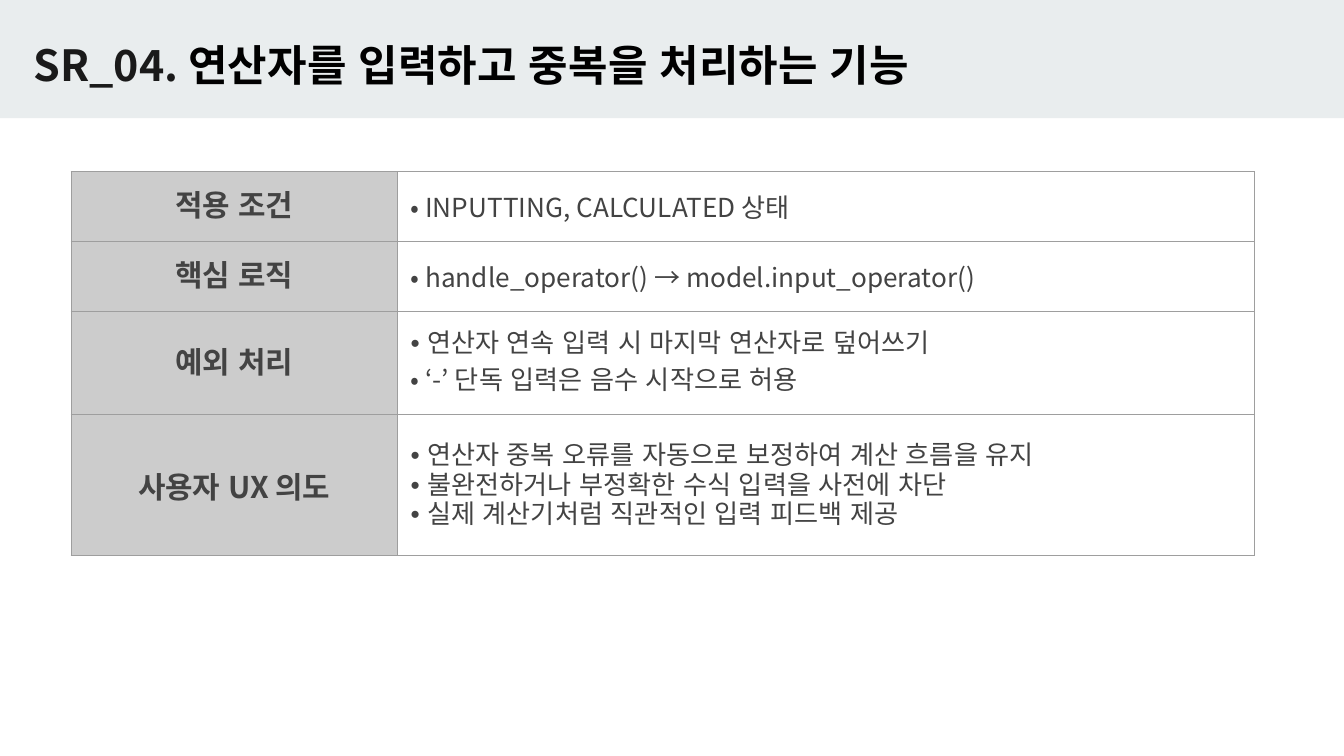
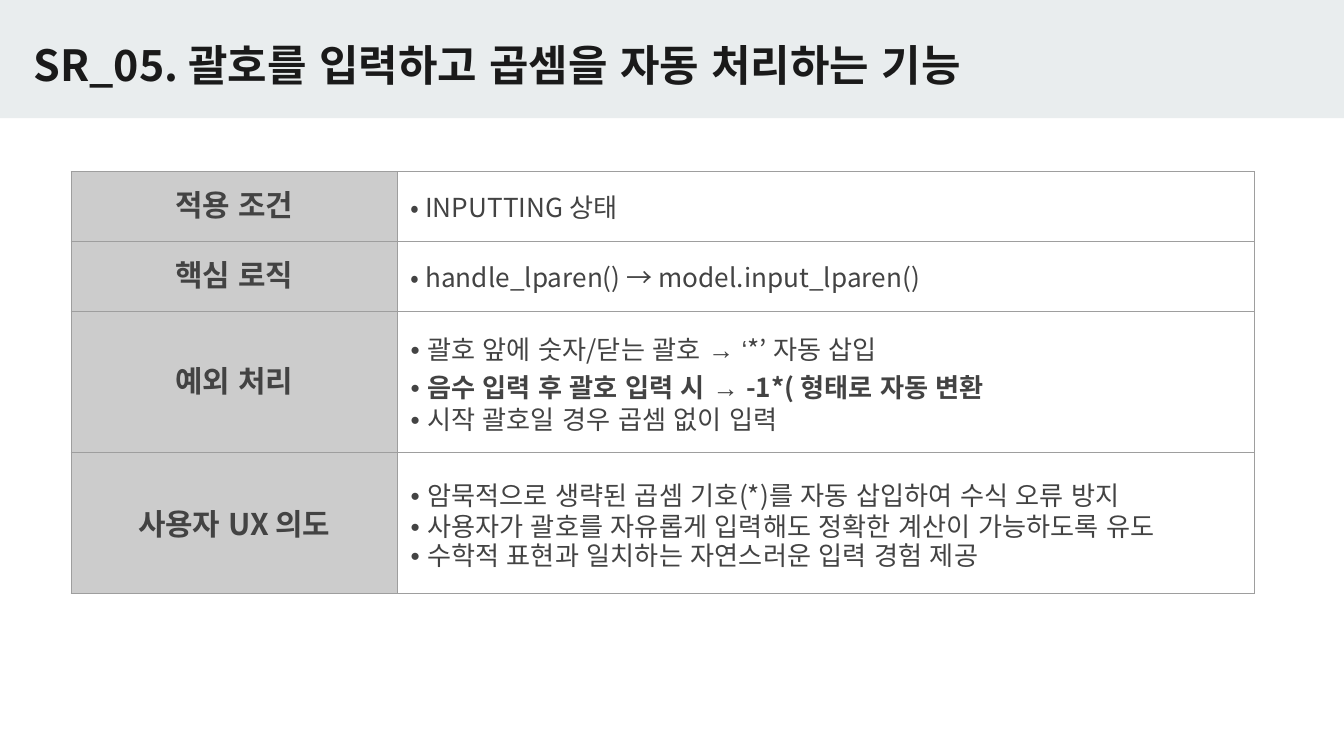
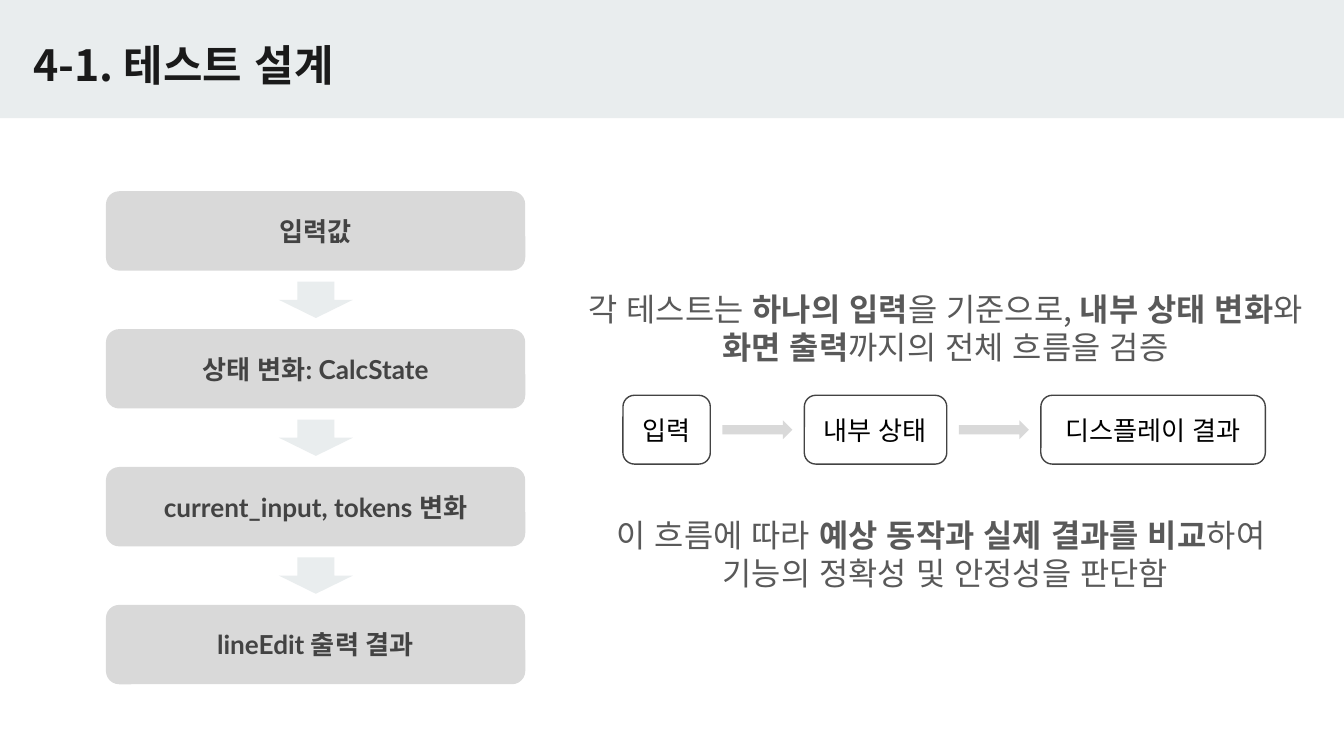
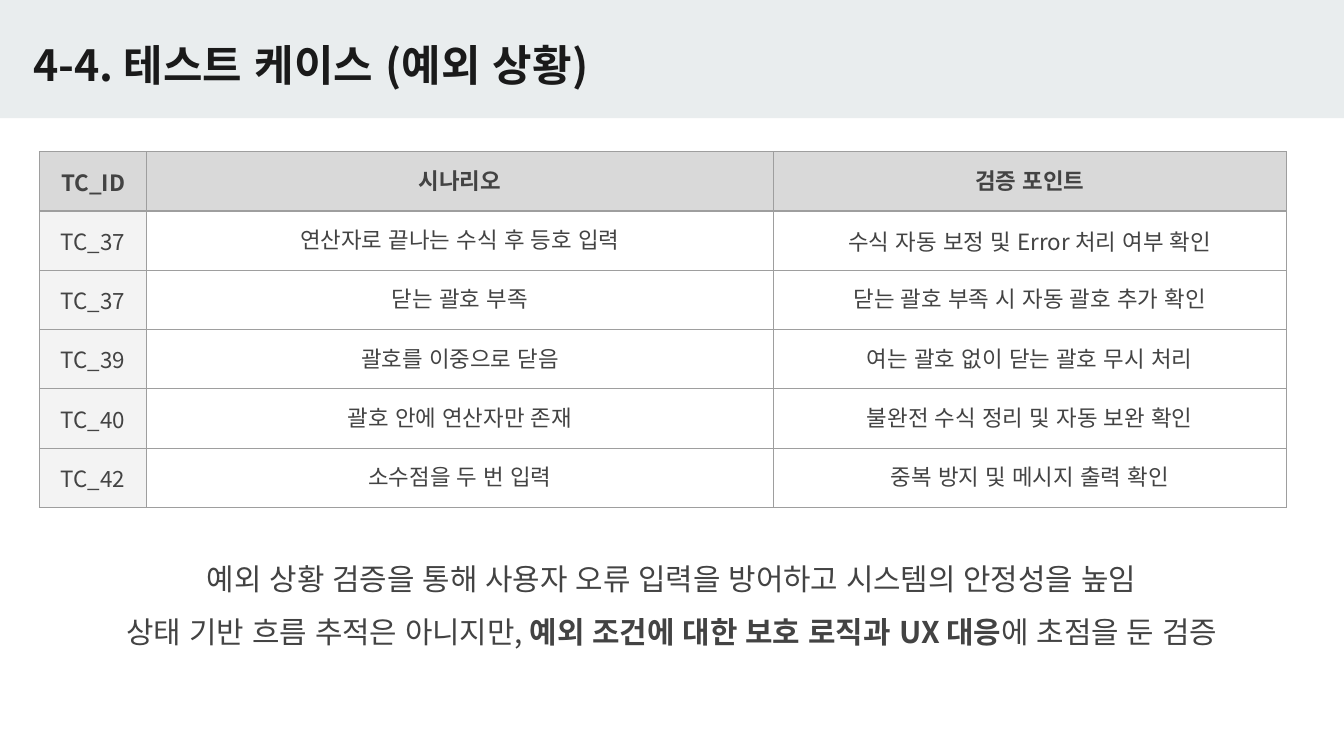
from lxml.etree import SubElement
from pptx import Presentation
from pptx.dml.color import RGBColor
from pptx.enum.shapes import MSO_SHAPE as Shape
from pptx.enum.text import MSO_ANCHOR as Anchor, PP_ALIGN as Align
from pptx.oxml.ns import qn
from pptx.util import Inches, Pt

WIDTH, HEIGHT = Inches(10), Inches(5.625)
INSET = Inches(0.1)

BAND = RGBColor(0xE9, 0xED, 0xEE)
INK = RGBColor(0x1A, 0x1A, 0x1A)
BLACK = RGBColor(0, 0, 0)
WHITE = RGBColor(0xFF, 0xFF, 0xFF)
DARK = RGBColor(0x43, 0x43, 0x43)
MUTED = RGBColor(0x59, 0x59, 0x59)
LABEL = RGBColor(0xCC, 0xCC, 0xCC)
PANEL = RGBColor(0xD9, 0xD9, 0xD9)
PALE = RGBColor(0xF3, 0xF3, 0xF3)
BORDER = "9E9E9E"

SANS, LATO, ARIAL = "Noto Sans CJK KR", "Lato", "Arial"
EAST_ASIAN = {SANS: ARIAL, LATO: LATO}

SPEC_LABELS = ["적용 조건", "핵심 로직", "예외 처리", "사용자 UX 의도"]
SPEC_ROW_HEIGHTS = {1: 9.24, 2: 13.66, 3: 18.67}

OPERATOR_SPEC = [
    ["• INPUTTING, CALCULATED 상태"],
    ["• handle_operator() → model.input_operator()"],
    ["• 연산자 연속 입력 시 마지막 연산자로 덮어쓰기",
     "• ‘-’ 단독 입력은 음수 시작으로 허용"],
    ["• 연산자 중복 오류를 자동으로 보정하여 계산 흐름을 유지",
     "• 불완전하거나 부정확한 수식 입력을 사전에 차단",
     "• 실제 계산기처럼 직관적인 입력 피드백 제공"],
]
PAREN_SPEC = [
    ["• INPUTTING 상태"],
    ["• handle_lparen() → model.input_lparen()"],
    ["• 괄호 앞에 숫자/닫는 괄호 → ‘*’ 자동 삽입",
     "• |음수 입력 후 괄호 입력 시 → -1*( 형태로 자동 변환",
     "• 시작 괄호일 경우 곱셈 없이 입력"],
    ["• 암묵적으로 생략된 곱셈 기호(*)를 자동 삽입하여 수식 오류 방지",
     "• 사용자가 괄호를 자유롭게 입력해도 정확한 계산이 가능하도록 유도",
     "• 수학적 표현과 일치하는 자연스러운 입력 경험 제공"],
]
TEST_STAGES = ["입력값", "상태 변화: CalcState", "current_input, tokens 변화", "lineEdit 출력 결과"]
FLOW_STEPS = [("입력", 6.5), ("내부 상태", 10.6), ("디스플레이 결과", 16.7)]
TEST_CASES = [
    ["TC_ID", "시나리오", "검증 포인트"],
    ["TC_37", "연산자로 끝나는 수식 후 등호 입력", "수식 자동 보정 및 Error 처리 여부 확인"],
    ["TC_37", "닫는 괄호 부족", "닫는 괄호 부족 시 자동 괄호 추가 확인"],
    ["TC_39", "괄호를 이중으로 닫음", "여는 괄호 없이 닫는 괄호 무시 처리"],
    ["TC_40", "괄호 안에 연산자만 존재", "불완전 수식 정리 및 자동 보완 확인"],
    ["TC_42", "소수점을 두 번 입력", "중복 방지 및 메시지 출력 확인"],
]


def across(percent):
    """Turn a percentage of the slide's width into a length."""
    return int(WIDTH * percent / 100)


def down(percent):
    """Turn a percentage of the slide's height into a length."""
    return int(HEIGHT * percent / 100)


def area(left, top, width, height):
    """Turn four percentages into a position and a size."""
    return across(left), down(top), across(width), down(height)


def style_span(span, size, color, font, bold):
    """Give a run its size, colour, weight and typefaces."""
    span.font.size = Pt(size)
    span.font.color.rgb = color
    span.font.bold = bold
    span.font.name = font
    SubElement(span.font._element, qn("a:ea")).set("typeface", EAST_ASIAN[font])


def write(frame, lines, size, color, font=SANS, bold=False, align=Align.LEFT):
    """Fill a text frame with lines in which bars switch bold on and off."""
    frame.text = "\n".join(line.replace("|", "") for line in lines)
    for para, line in zip(frame.paragraphs, lines):
        para.alignment = align
        pieces = line.split("|")
        para.runs[0].text = pieces[0]
        for piece in pieces[1:]:
            para.add_run().text = piece
        for index, span in enumerate(para.runs):
            style_span(span, size, color, font, bold or index % 2 == 1)


def set_insets(frame):
    """Apply the common margins and wrapping to a text frame."""
    frame.margin_left = frame.margin_right = INSET
    frame.margin_top = frame.margin_bottom = INSET
    frame.word_wrap = True


def add_text(page, place, lines, size, color, anchor=Anchor.MIDDLE, **style):
    """Add a text box and return its frame."""
    frame = page.shapes.add_textbox(*place).text_frame
    set_insets(frame)
    frame.vertical_anchor = anchor
    write(frame, lines, size, color, **style)
    return frame


def add_block(page, kind, place, fill=None, line=None):
    """Add a flat preset shape with an optional fill and outline."""
    block = page.shapes.add_shape(kind, *place)
    block.shadow.inherit = False
    if fill is None:
        block.fill.background()
    else:
        block.fill.solid()
        block.fill.fore_color.rgb = fill
    if line is None:
        block.line.fill.background()
    else:
        block.line.color.rgb = line
        block.line.width = Pt(0.75)
    return block


def add_labelled_block(page, place, label, color, bold=False, **look):
    """Add a rounded box with a centred label."""
    block = add_block(page, Shape.ROUNDED_RECTANGLE, place, **look)
    set_insets(block.text_frame)
    block.text_frame.vertical_anchor = Anchor.MIDDLE
    write(block.text_frame, [label], 14, color, LATO, bold, Align.CENTER)


def add_page(deck, title):
    """Add a blank slide with the title band and return it with the title frame."""
    page = deck.slides.add_slide(deck.slide_layouts[6])
    add_block(page, Shape.RECTANGLE, area(0, 0, 100, 15.64), BAND)
    frame = add_text(page, area(1.5, 3.2, 84.1, 10.49), [title], 23, INK, bold=True)
    return page, frame


def add_grid(page, left, top, widths, heights):
    """Add an unstyled table with the given column and row shares."""
    place = area(left, top, sum(widths), sum(heights))
    table = page.shapes.add_table(len(heights), len(widths), *place).table
    table.first_row = table.horz_banding = False
    for column, width in zip(table.columns, widths):
        column.width = across(width)
    for row, height in zip(table.rows, heights):
        row.height = down(height)
    return table


def fill_cell(cell, lines, size, fill=WHITE, **style):
    """Write, fill and outline one table cell."""
    cell.margin_left = cell.margin_right = INSET
    cell.margin_top = cell.margin_bottom = INSET
    cell.vertical_anchor = Anchor.MIDDLE
    write(cell.text_frame, lines, size, DARK, **style)
    properties = cell._tc.get_or_add_tcPr()
    for side in ("lnL", "lnR", "lnT", "lnB"):
        edge = SubElement(properties, qn(f"a:{side}"), w=str(Pt(0.75)))
        paint = SubElement(edge, qn("a:solidFill"))
        SubElement(paint, qn("a:srgbClr"), val=BORDER)
    cell.fill.solid()
    cell.fill.fore_color.rgb = fill


def add_spec_table(page, spec):
    """Add the table of conditions, logic, exceptions and intent."""
    heights = [SPEC_ROW_HEIGHTS[len(lines)] for lines in spec]
    table = add_grid(page, 5.3, 22.7, [24.25, 63.8], heights)
    for row, (label, lines) in enumerate(zip(SPEC_LABELS, spec)):
        fill_cell(table.cell(row, 0), [label], 16, LABEL, bold=True, align=Align.CENTER)
        fill_cell(table.cell(row, 1), lines, 14)


def add_stages(page):
    """Stack the test stages with a down arrow in each gap."""
    top, pitch, height, arrow = 25.3, 18.24, 10.5, 4.8
    for index, label in enumerate(TEST_STAGES):
        y = top + index * pitch
        add_labelled_block(page, area(7.88, y, 31.2, height), label, DARK, True, fill=PANEL)
        if index:
            arrow_top = y - (pitch - height + arrow) / 2
            add_block(page, Shape.DOWN_ARROW, area(20.75, arrow_top, 5.5, arrow), BAND)


def add_flow(page):
    """Line up the flow steps with a right arrow in each gap."""
    left, top, height, gap, arrow = 46.35, 52.3, 9.1, 7, 5.2
    for index, (label, width) in enumerate(FLOW_STEPS):
        if index:
            arrow_left = left - (gap + arrow) / 2
            add_block(page, Shape.RIGHT_ARROW, area(arrow_left, 55.6, arrow, 2.5), PANEL)
        add_labelled_block(page, area(left, top, width, height), label, BLACK, line=DARK)
        left += width + gap


def add_case_table(page):
    """Add the table of exceptional test cases."""
    table = add_grid(page, 2.93, 20.05, [8, 46.6, 38.2], [7.85] * len(TEST_CASES))
    for row, case in enumerate(TEST_CASES):
        for column, entry in enumerate(case):
            fill = PANEL if row == 0 else PALE if column == 0 else WHITE
            fill_cell(table.cell(row, column), [entry], 12, fill, bold=row == 0, align=Align.CENTER)


def main():
    """Build the four slides and save them."""
    deck = Presentation()
    deck.slide_width, deck.slide_height = WIDTH, HEIGHT

    page, title = add_page(deck, "SR_04. |연산자를 입력하고 중복을 처리하는 기능")
    span = title.paragraphs[0].runs[1]
    span.font.color.rgb = BLACK
    span.font.name = ARIAL
    add_spec_table(page, OPERATOR_SPEC)

    page, _ = add_page(deck, "SR_05. 괄호를 입력하고 곱셈을 자동 처리하는 기능")
    add_spec_table(page, PAREN_SPEC)

    page, _ = add_page(deck, "4-1. 테스트 설계")
    add_stages(page)
    add_flow(page)
    purpose = ["각 테스트는 |하나의 입력|을 기준으로, |내부 상태 변화|와 |화면 출력|까지의 전체 흐름을 검증"]
    verdict = ["이 흐름에 따라 |예상 동작과 실제 결과를 비교|하여 ", "기능의 정확성 및 안정성을 판단함"]
    for top, lines in ((36.6, purpose), (66.5, verdict)):
        add_text(page, area(42.3, top, 56.1, 12.8), lines, 17, MUTED, Anchor.TOP, align=Align.CENTER)

    page, _ = add_page(deck, "4-4. 테스트 케이스 (예외 상황)")
    add_case_table(page)
    remarks = ["예외 상황 검증을 통해 사용자 오류 입력을 방어하고 시스템의 안정성을 높임",
               "상태 기반 흐름 추적은 아니지만, |예외 조건에 대한 보호 로직과 UX 대응|에 초점을 둔 검증"]
    for index, remark in enumerate(remarks):
        add_text(page, area(0, 72.5 + index * 6.95, 100, 8.2), [remark], 16, DARK, align=Align.CENTER)

    deck.save("out.pptx")


if __name__ == "__main__":
    main()
